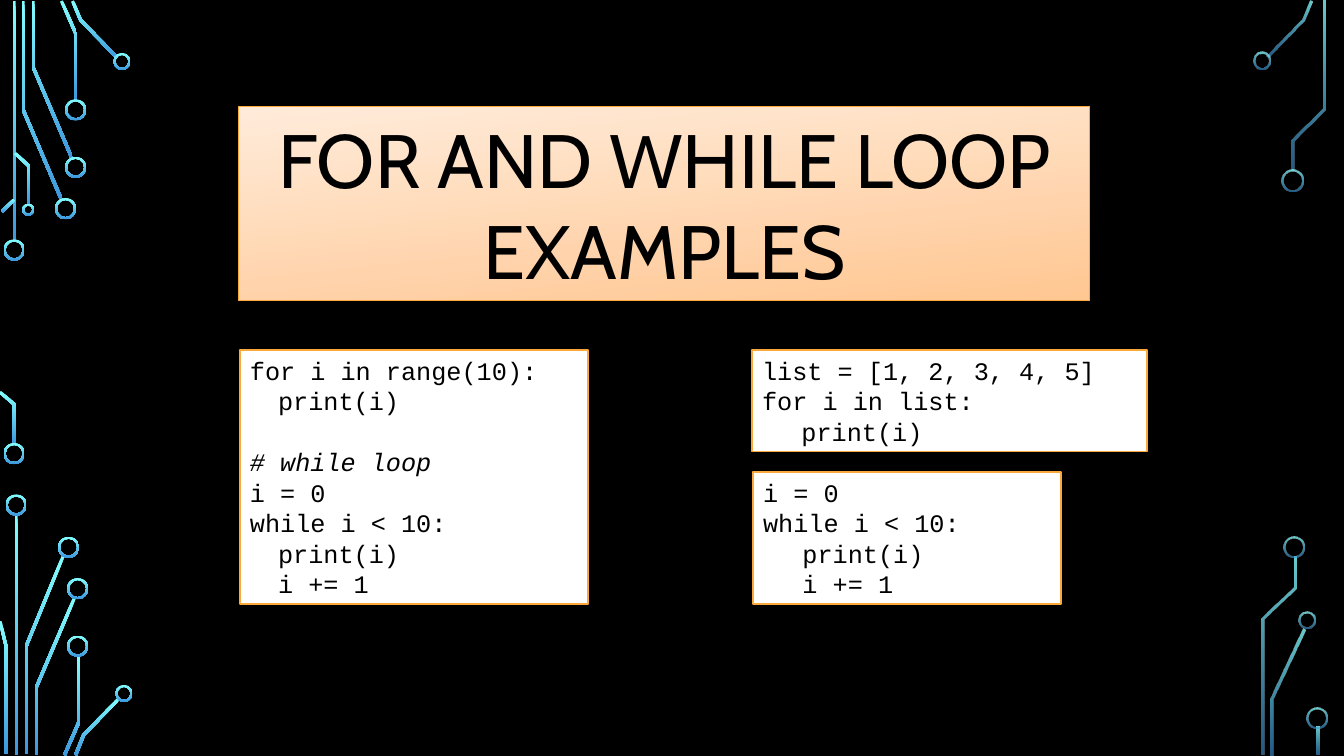
from dataclasses import dataclass
from math import hypot
from typing import NamedTuple

from lxml.etree import SubElement
from pptx import Presentation
from pptx.dml.color import RGBColor
from pptx.enum.shapes import MSO_SHAPE
from pptx.enum.text import MSO_ANCHOR, MSO_AUTO_SIZE, PP_ALIGN
from pptx.oxml.ns import qn
from pptx.shapes.autoshape import Shape
from pptx.slide import Slide
from pptx.util import Inches, Pt


@dataclass(frozen=True)
class Theme:
    back: str = "000000"
    ink: str = "000000"
    paper: str = "FFFFFF"
    edge: str = "FAA93A"
    glow: tuple[str, str] = ("82FFFF", "3D97DE")
    peach: tuple[str, str] = ("FFEBDA", "FFC792")
    head: str = "Cabin"
    mono: str = "Courier New"
    big: float = 54
    small: float = 18
    lead: float = 21.8
    track: float = 0.03
    rim: float = 0.02


class Box(NamedTuple):
    left: float
    top: float
    width: float
    height: float


class Row(NamedTuple):
    text: str
    inset: float = 0
    before: float = 0
    italic: bool = False


class Code(NamedTuple):
    box: Box
    rows: list[Row]


class Ring(NamedTuple):
    x: float
    y: float
    size: float = 0.21


class Side(NamedTuple):
    alphas: tuple[int, int]
    tracks: list[list[tuple[float, float]]]
    rings: list[Ring]


THEME = Theme()
TITLE = Box(2.37, 1.06, 8.44, 1.92)

CODES = [
    Code(Box(2.38, 3.47, 3.45, 2.52), [
        Row("for i in range(10):"),
        Row("print(i)", 0.28),
        Row("# while loop", before=THEME.lead, italic=True),
        Row("i = 0"),
        Row("while i < 10:"),
        Row("print(i)", 0.28),
        Row("i += 1", 0.28),
    ]),
    Code(Box(7.46, 3.47, 3.92, 1.01), [
        Row("list = [1, 2, 3, 4, 5]"),
        Row("for i in list:"),
        Row("print(i)", 0.39),
    ]),
    Code(Box(7.47, 4.68, 3.05, 1.31), [
        Row("i = 0"),
        Row("while i < 10:"),
        Row("print(i)", 0.39),
        Row("i += 1", 0.39),
    ]),
]

SIDES = [
    Side((100, 100), [
        [(0.14, 0.01), (0.14, 2.4)],
        [(0.23, 0.01), (0.23, 1.09), (0.61, 1.98)],
        [(0.33, 0.01), (0.33, 0.67), (0.71, 1.56)],
        [(0.61, 0.01), (0.75, 0.33), (0.75, 1)],
        [(0.72, 0.01), (0.8, 0.2), (1.16, 0.57)],
        [(0.02, 2.1), (0.14, 1.98)],
        [(0, 3.89), (0.14, 4.01), (0.14, 4.41)],
        [(0.15, 1.52), (0.29, 1.65), (0.29, 2.03)],
        [(0.16, 5.1), (0.16, 7.49)],
        [(0.26, 7.48), (0.26, 6.41), (0.63, 5.51)],
        [(0.06, 7.48), (0.06, 6.41), (0, 6.16)],
        [(0.36, 7.49), (0.36, 6.82), (0.74, 5.93)],
        [(0.64, 7.49), (0.78, 7.17), (0.78, 6.5)],
        [(0.75, 7.49), (0.83, 7.29), (1.18, 6.93)],
    ], [
        Ring(0.14, 2.48), Ring(0.14, 4.5), Ring(0.65, 2.07), Ring(0.75, 1.66),
        Ring(0.75, 1.09), Ring(1.21, 0.61, 0.17), Ring(0.28, 2.08, 0.12),
        Ring(0.16, 5.01), Ring(0.68, 5.43), Ring(0.77, 5.84), Ring(0.77, 6.41),
        Ring(1.23, 6.88, 0.17),
    ]),
    Side((80, 60), [
        [(12.57, 0.56), (12.92, 0.2), (13, 0.01)],
        [(12.62, 7.49), (12.62, 6.93), (12.93, 6.24)],
        [(12.82, 1.69), (12.82, 1.39), (13.13, 1.08), (13.13, 0.01)],
        [(12.53, 7.49), (12.53, 6.14), (12.84, 5.83), (12.84, 5.52)],
        [(13.07, 7.21), (13.07, 7.49)],
    ], [
        Ring(12.52, 0.6, 0.17), Ring(12.82, 1.79), Ring(12.96, 6.15, 0.17),
        Ring(12.83, 5.43), Ring(13.06, 7.12),
    ]),
]


def apply(item: object, form: dict[str, object]) -> None:
    for name, value in form.items():
        setattr(item, name, value)


def blend(shape: Shape, tones: tuple[str, str], angle: float) -> None:
    """Fill with two tones, the angle measured clockwise."""
    shape.fill.gradient()
    shape.fill.gradient_angle = 360 - angle
    for stop, tone in zip(shape.fill.gradient_stops, tones):
        stop.color.rgb = RGBColor.from_string(tone)


def frame(shape: Shape, width: float) -> None:
    shape.line.color.rgb = RGBColor.from_string(THEME.edge)
    shape.line.width = Pt(width)


def light(shape: Shape, alphas: tuple[int, int]) -> None:
    """Give a circuit part its glow and drop its line and shadow."""
    shape.shadow.inherit = False
    blend(shape, THEME.glow, 90)
    for tone, alpha in zip(list(shape.element.iter(qn("a:srgbClr"))), alphas):
        if alpha < 100:
            SubElement(tone, qn("a:alpha")).set("val", str(alpha * 1000))
    shape.line.fill.background()


def widen(track: list[tuple[float, float]]) -> list[tuple[int, int]]:
    """Outline a centre line with mitred corners."""
    norms = []
    for (x, y), (u, v) in zip(track, track[1:]):
        span = hypot(u - x, v - y)
        norms.append(((y - v) / span, (u - x) / span))
    near, far = [], []
    for (x, y), a, b in zip(track, norms[:1] + norms, norms + norms[-1:]):
        reach = THEME.track / 2 / (1 + a[0] * b[0] + a[1] * b[1])
        dx, dy = (a[0] + b[0]) * reach, (a[1] + b[1]) * reach
        near.append((Inches(x + dx), Inches(y + dy)))
        far.append((Inches(x - dx), Inches(y - dy)))
    return near + far[::-1]


def draw_side(slide: Slide, side: Side) -> None:
    for track in side.tracks:
        start, *rest = widen(track)
        path = slide.shapes.build_freeform(*start)
        path.add_line_segments(rest)
        light(path.convert_to_shape(), side.alphas)
    for x, y, size in side.rings:
        box = Box(x - size / 2, y - size / 2, size, size)
        ring = slide.shapes.add_shape(MSO_SHAPE.DONUT, *map(Inches, box))
        ring.adjustments[0] = THEME.rim / size
        light(ring, side.alphas)


def draw_code(slide: Slide, code: Code) -> None:
    shape = slide.shapes.add_shape(MSO_SHAPE.RECTANGLE, *map(Inches, code.box))
    shape.shadow.inherit = False
    shape.fill.solid()
    shape.fill.fore_color.rgb = RGBColor.from_string(THEME.paper)
    frame(shape, 1.25)
    text = shape.text_frame
    apply(text, {"word_wrap": True, "vertical_anchor": MSO_ANCHOR.TOP})
    for i, row in enumerate(code.rows):
        para = text.add_paragraph() if i else text.paragraphs[0]
        apply(para, {"text": row.text, "alignment": PP_ALIGN.LEFT,
                     "line_spacing": Pt(THEME.lead), "space_before": Pt(row.before)})
        para._p.get_or_add_pPr().set("marL", str(Inches(row.inset)))
        font = para.runs[0].font
        apply(font, {"name": THEME.mono, "size": Pt(THEME.small), "italic": row.italic})
        font.color.rgb = RGBColor.from_string(THEME.ink)


def draw_title(slide: Slide) -> None:
    title = slide.shapes.title
    apply(title, dict(zip(Box._fields, map(Inches, TITLE))))
    blend(title, THEME.peach, 84)
    frame(title, 0.75)
    text = title.text_frame
    apply(text, {"text": "FOR AND WHILE LOOP EXAMPLES", "word_wrap": True,
                 "auto_size": MSO_AUTO_SIZE.NONE, "vertical_anchor": MSO_ANCHOR.MIDDLE})
    para = text.paragraphs[0]
    para.alignment = PP_ALIGN.CENTER
    font = para.runs[0].font
    apply(font, {"name": THEME.head, "size": Pt(THEME.big)})
    font.color.rgb = RGBColor.from_string(THEME.ink)


def main() -> None:
    deck = Presentation()
    apply(deck, {"slide_width": Inches(13.33), "slide_height": Inches(7.5)})
    slide = deck.slides.add_slide(deck.slide_layouts[5])
    slide.background.fill.solid()
    slide.background.fill.fore_color.rgb = RGBColor.from_string(THEME.back)
    for side in SIDES:
        draw_side(slide, side)
    for code in CODES:
        draw_code(slide, code)
    draw_title(slide)
    deck.save("out.pptx")


if __name__ == "__main__":
    main()
